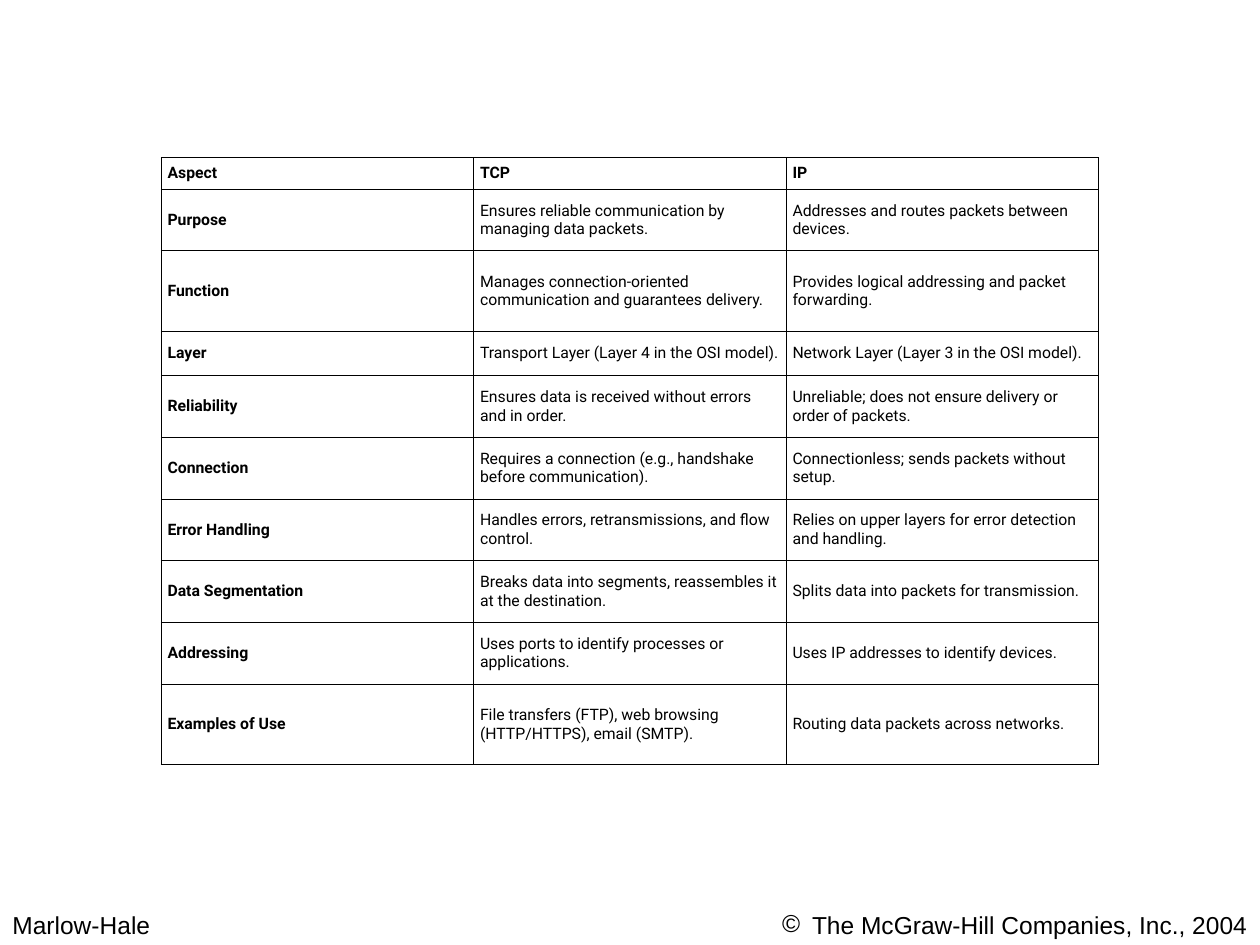
from dataclasses import dataclass

import pptx
import pptx.dml.color
import pptx.enum.text
import pptx.oxml
import pptx.oxml.ns
import pptx.util
from pptx.enum.text import MSO_ANCHOR, PP_ALIGN

PX = 9144  # EMU: 100 px to the inch


@dataclass(frozen=True)
class Theme:
    ink: str = "000000"
    paper: str = "FFFFFF"
    table_font: str = "Roboto"
    table_size: int = 9
    footer_font: str = "Arial"
    footer_size: int = 14
    border_width: float = 0.45


@dataclass(frozen=True)
class Footer:
    text: str
    left: int
    width: int
    align: PP_ALIGN
    bullet: str = ""


@dataclass(frozen=True)
class Row:
    height: int
    aspect: str
    tcp: str
    ip: str


THEME = Theme()
FOOTER_TOP, FOOTER_HEIGHT = 717, 34
TABLE_LEFT, TABLE_TOP, COLUMN_WIDTH = 128, 125, 248
CELL_MARGIN = 5

FOOTERS = [
    Footer("Marlow-Hale", 0, 242, PP_ALIGN.LEFT),
    Footer("The McGraw-Hill Companies, Inc., 2004", 500, 500, PP_ALIGN.RIGHT, "©"),
]

ROWS = [
    Row(20, "Aspect", "TCP", "IP"),
    Row(49, "Purpose", "Ensures reliable communication by managing data packets.",
        "Addresses and routes packets between devices."),
    Row(64, "Function", "Manages connection-oriented communication and guarantees delivery.",
        "Provides logical addressing and packet forwarding."),
    Row(35, "Layer", "Transport Layer (Layer 4 in the OSI model).",
        "Network Layer (Layer 3 in the OSI model)."),
    Row(49, "Reliability", "Ensures data is received without errors and in order.",
        "Unreliable; does not ensure delivery or order of packets."),
    Row(49, "Connection", "Requires a connection (e.g., handshake before communication).",
        "Connectionless; sends packets without setup."),
    Row(49, "Error Handling", "Handles errors, retransmissions, and flow control.",
        "Relies on upper layers for error detection and handling."),
    Row(49, "Data Segmentation", "Breaks data into segments, reassembles it at the destination.",
        "Splits data into packets for transmission."),
    Row(49, "Addressing", "Uses ports to identify processes or applications.",
        "Uses IP addresses to identify devices."),
    Row(64, "Examples of Use", "File transfers (FTP), web browsing (HTTP/HTTPS), email (SMTP).",
        "Routing data packets across networks."),
]


def px(length: int) -> pptx.util.Emu:
    return pptx.util.Emu(length * PX)


def set_font(paragraph, name: str, size: int, bold: bool = False) -> None:
    font = paragraph.font
    font.name, font.size, font.bold = name, pptx.util.Pt(size), bold
    font.color.rgb = pptx.dml.color.RGBColor.from_string(THEME.ink)


def add_bullet(paragraph, character: str) -> None:
    properties = paragraph._p.get_or_add_pPr()
    namespace = pptx.oxml.ns.nsdecls("a")
    for xml in (
        f'<a:buClr {namespace}><a:srgbClr val="{THEME.ink}"/></a:buClr>',
        f'<a:buFont {namespace} typeface="{THEME.footer_font}"/>',
        f'<a:buChar {namespace} char="{character}"/>',
    ):
        properties.append(pptx.oxml.parse_xml(xml))


def add_footer(slide, footer: Footer) -> None:
    shape = slide.shapes.add_textbox(
        px(footer.left), px(FOOTER_TOP), px(footer.width), px(FOOTER_HEIGHT))
    frame = shape.text_frame
    frame.word_wrap = True
    paragraph = frame.paragraphs[0]
    paragraph.text = footer.text
    paragraph.alignment = footer.align
    if footer.bullet:
        add_bullet(paragraph, footer.bullet)
    set_font(paragraph, THEME.footer_font, THEME.footer_size)


def set_borders(cell) -> None:
    """Put the four border lines ahead of the cell's fill, as the schema asks."""
    properties = cell._tc.get_or_add_tcPr()
    width = pptx.util.Pt(THEME.border_width)
    for index, side in enumerate("LRTB"):
        properties.insert(index, pptx.oxml.parse_xml(
            f'<a:ln{side} {pptx.oxml.ns.nsdecls("a")} w="{width}"><a:solidFill>'
            f'<a:srgbClr val="{THEME.ink}"/></a:solidFill></a:ln{side}>'))


def fill_cell(cell, text: str, bold: bool) -> None:
    cell.margin_left = cell.margin_right = px(CELL_MARGIN)
    cell.margin_top = cell.margin_bottom = px(CELL_MARGIN)
    cell.vertical_anchor = MSO_ANCHOR.MIDDLE
    cell.fill.solid()
    cell.fill.fore_color.rgb = pptx.dml.color.RGBColor.from_string(THEME.paper)
    set_borders(cell)
    paragraph = cell.text_frame.paragraphs[0]
    paragraph.text = text
    set_font(paragraph, THEME.table_font, THEME.table_size, bold)


def add_comparison_table(slide, rows: list[Row]) -> None:
    column_count = 3
    table = slide.shapes.add_table(
        len(rows), column_count, px(TABLE_LEFT), px(TABLE_TOP),
        px(column_count * COLUMN_WIDTH), px(sum(row.height for row in rows))).table
    table.first_row = table.horz_banding = False
    for column in table.columns:
        column.width = px(COLUMN_WIDTH)
    for row_index, row in enumerate(rows):
        table.rows[row_index].height = px(row.height)
        for column_index, text in enumerate((row.aspect, row.tcp, row.ip)):
            is_heading = row_index == 0 or column_index == 0
            fill_cell(table.cell(row_index, column_index), text, is_heading)


def main() -> None:
    presentation = pptx.Presentation()
    presentation.slide_width, presentation.slide_height = px(1000), px(750)
    slide = presentation.slides.add_slide(presentation.slide_layouts[6])
    for footer in FOOTERS:
        add_footer(slide, footer)
    add_comparison_table(slide, ROWS)
    presentation.save("out.pptx")


if __name__ == "__main__":
    main()
